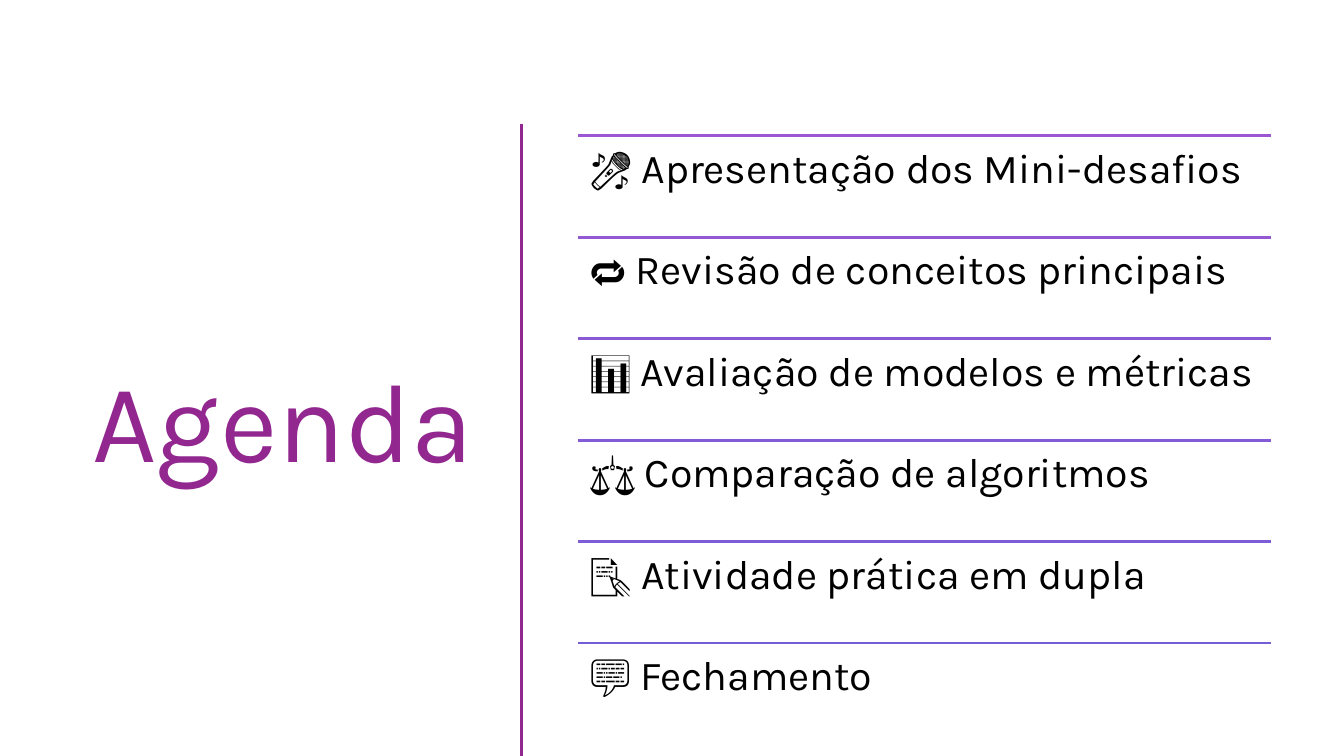
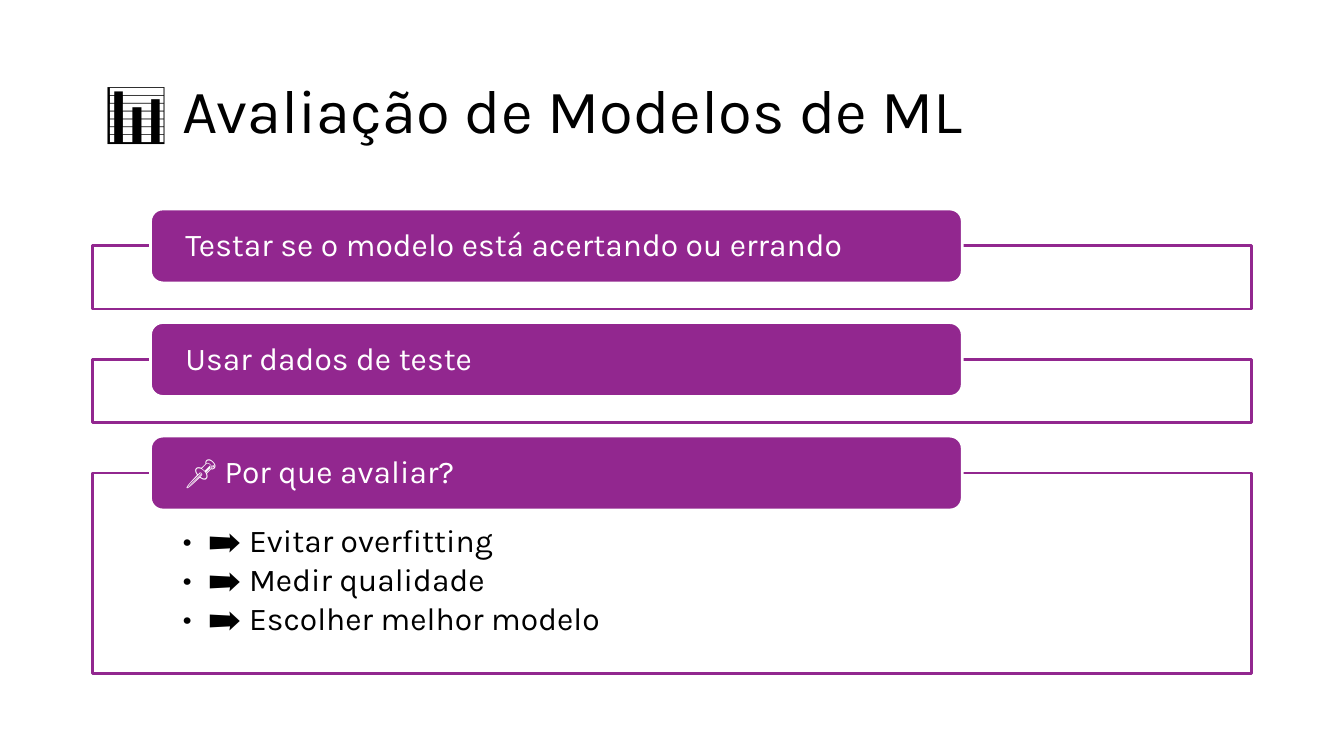
from dataclasses import dataclass

from pptx import Presentation
from pptx.dml.color import RGBColor
from pptx.enum.shapes import MSO_CONNECTOR, MSO_SHAPE
from pptx.enum.text import MSO_ANCHOR, PP_ALIGN
from pptx.oxml.ns import qn
from pptx.util import Inches, Pt
from lxml import etree

STRAIGHT = MSO_CONNECTOR.STRAIGHT
RECTANGLE, ROUNDED = MSO_SHAPE.RECTANGLE, MSO_SHAPE.ROUNDED_RECTANGLE
TOP, MIDDLE = MSO_ANCHOR.TOP, MSO_ANCHOR.MIDDLE
LEFT, RIGHT = PP_ALIGN.LEFT, PP_ALIGN.RIGHT

# Content
AGENDA_TITLE = "Agenda"
AGENDA_ITEMS = [
    "🎤 Apresentação dos Mini-desafios",
    "🔁 Revisão de conceitos principais",
    "📊 Avaliação de modelos e métricas",
    "⚖️ Comparação de algoritmos",
    "📝 Atividade prática em dupla",
    "💬 Fechamento",
]
EVALUATION_TITLE = "📊 Avaliação de Modelos de ML"
# Each section: heading, bullets, panel height
EVALUATION_SECTIONS = [
    ("Testar se o modelo está acertando ou errando", [], 0.47),
    ("Usar dados de teste", [], 0.47),
    ("📌 Por que avaliar?",
     ["➡️ Evitar overfitting", "➡️ Medir qualidade", "➡️ Escolher melhor modelo"],
     1.49),
]


@dataclass(frozen=True)
class Theme:
    font: str = "Karla"
    accent: str = "92278F"
    text: str = "000000"
    white: str = "FFFFFF"
    rule_first: str = "9B57D3"
    rule_last: str = "755DD9"
    hero_size: float = 60
    title_size: float = 33
    item_size: float = 22
    body_size: float = 17
    divider_width: float = 2
    rule_width: float = 1.5
    line_spacing: float = 0.9
    bullet_gap: float = 2.5


THEME = Theme()
SLIDE_WIDTH = Inches(10)
SLIDE_HEIGHT = SLIDE_WIDTH * 9 // 16
TITLE_INSETS = (0.1, 0.05, 0.1, 0.05)


def color(value):
    return RGBColor.from_string(value)


def blend(first, last, share):
    """Mix two colours evenly, channel by channel."""
    pairs = zip(color(first), color(last))
    return str(RGBColor(*(round(a + (b - a) * share) for a, b in pairs)))


def apply_format(target, values):
    for name, value in values.items():
        setattr(target, name, value)


def add_bullet(paragraph):
    apply_format(paragraph, {"level": 1, "space_after": Pt(THEME.bullet_gap)})
    properties = paragraph._p.get_or_add_pPr()
    properties.set("marL", str(Inches(0.19)))
    properties.set("indent", str(Inches(-0.19)))
    etree.SubElement(properties, qn("a:buFont")).set("typeface", THEME.font)
    etree.SubElement(properties, qn("a:buChar")).set("char", "•")


def add_text(slide, box, lines, size, text_color, insets, anchor=TOP,
             align=LEFT, bulleted=False):
    frame = slide.shapes.add_textbox(*map(Inches, box)).text_frame
    margins = zip(("left", "top", "right", "bottom"), insets)
    apply_format(frame, {f"margin_{side}": Inches(inset) for side, inset in margins})
    apply_format(frame, {"word_wrap": True, "vertical_anchor": anchor})
    for index, line in enumerate(lines):
        paragraph = frame.paragraphs[0] if index == 0 else frame.add_paragraph()
        paragraph.text = line
        apply_format(paragraph, {"alignment": align, "line_spacing": THEME.line_spacing})
        if bulleted:
            add_bullet(paragraph)
        font = paragraph.runs[0].font
        apply_format(font, {"name": THEME.font, "size": Pt(size)})
        font.color.rgb = color(text_color)


def add_box(slide, kind, box, fill, line):
    shape = slide.shapes.add_shape(kind, *map(Inches, box))
    shape.shadow.inherit = False
    shape.fill.solid()
    shape.fill.fore_color.rgb = color(fill)
    shape.line.color.rgb = color(line)
    shape.line.width = Pt(THEME.rule_width)
    return shape


def add_line(slide, ends, line_color, width):
    connector = slide.shapes.add_connector(STRAIGHT, *map(Inches, ends))
    connector.line.color.rgb = color(line_color)
    connector.line.width = Pt(width)
    etree.SubElement(connector._element.spPr, qn("a:effectLst"))


def build_agenda(slide):
    add_text(slide, (0.39, 0.88, 3.23, 4.58), [AGENDA_TITLE], THEME.hero_size,
             THEME.accent, TITLE_INSETS, anchor=MIDDLE, align=RIGHT)
    add_line(slide, (3.88, 0.92, 3.88, SLIDE_HEIGHT.inches if hasattr(SLIDE_HEIGHT, "inches")
                     else SLIDE_HEIGHT / Inches(1)), THEME.accent, THEME.divider_width)

    # Ruled list
    left, top, width, pitch = 4.3, 1.01, 5.16, 0.755
    for index, item in enumerate(AGENDA_ITEMS):
        y = top + index * pitch
        rule = blend(THEME.rule_first, THEME.rule_last, index / (len(AGENDA_ITEMS) - 1))
        add_line(slide, (left, y, left + width, y), rule, THEME.rule_width)
        add_text(slide, (left, y, width, pitch), [item], THEME.item_size,
                 THEME.text, (0.09,) * 4)


def build_evaluation(slide):
    left, width = 0.69, 8.62
    add_text(slide, (left, 0.3, width, 1.09), [EVALUATION_TITLE], THEME.title_size,
             THEME.text, TITLE_INSETS, anchor=MIDDLE)

    # Panels, each with a heading tab over its top edge
    top, gap, tab_rise = 1.83, 0.375, 0.275
    for heading, bullets, height in EVALUATION_SECTIONS:
        panel_box = (left, top, width, height)
        panel = add_box(slide, RECTANGLE, panel_box, THEME.white, THEME.accent)
        fill_color = panel._element.spPr.find(qn("a:solidFill"))[0]
        etree.SubElement(fill_color, qn("a:alpha")).set("val", "90000")
        if bullets:
            add_text(slide, panel_box, bullets, THEME.body_size, THEME.text,
                     (0.67, 0.39, 0.67, 0.13), bulleted=True)
        tab_top = top - tab_rise
        add_box(slide, ROUNDED, (1.12, tab_top, 6.04, 0.55), THEME.accent, THEME.white)
        add_text(slide, (1.15, tab_top + 0.03, 5.98, 0.5), [heading], THEME.body_size,
                 THEME.white, (0.23, 0, 0.23, 0), anchor=MIDDLE)
        top += height + gap


def main():
    presentation = Presentation()
    apply_format(presentation, {"slide_width": SLIDE_WIDTH, "slide_height": SLIDE_HEIGHT})
    blank = presentation.slide_layouts[6]
    for build in (build_agenda, build_evaluation):
        build(presentation.slides.add_slide(blank))
    presentation.save("out.pptx")


if __name__ == "__main__":
    main()
